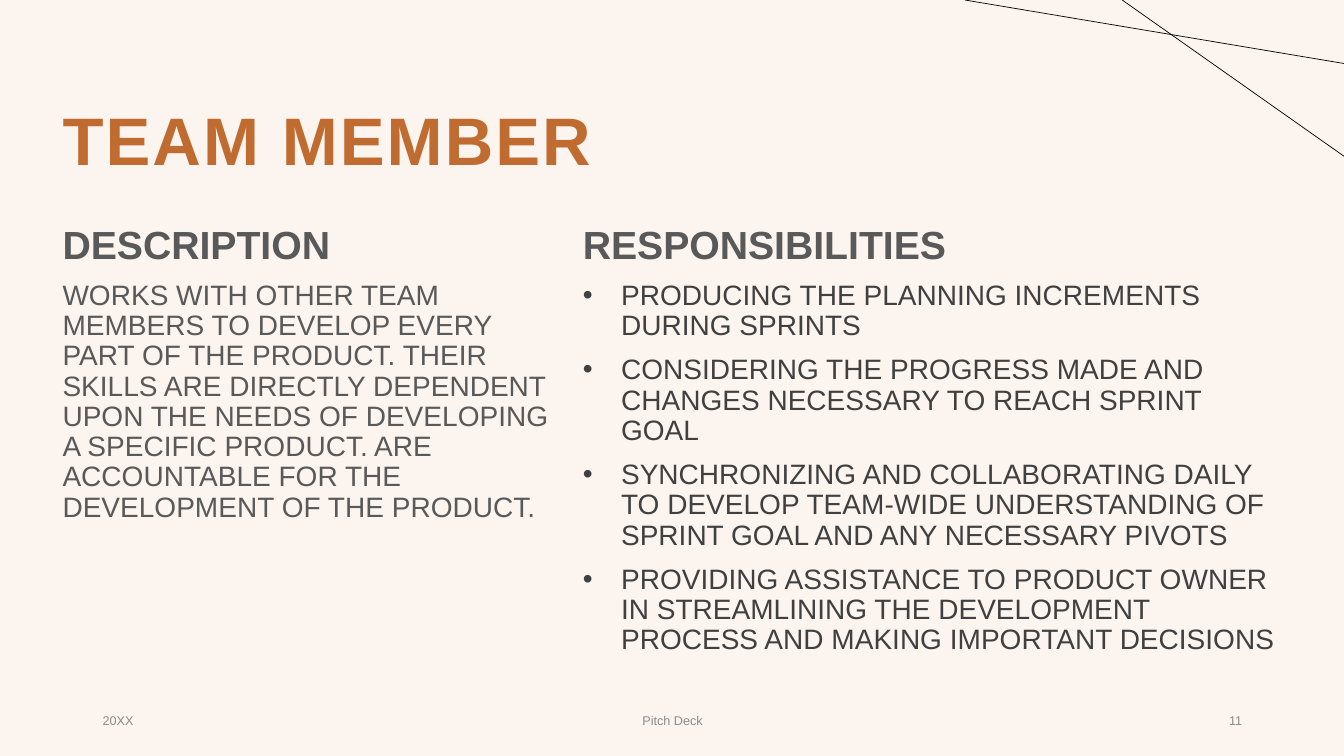
import pptx
import pptx.dml.color
import pptx.enum.shapes
import pptx.enum.text
import pptx.oxml.ns
import pptx.util
from lxml import etree

Inches = pptx.util.Inches
Pt = pptx.util.Pt
ALIGN = pptx.enum.text.PP_ALIGN
ANCHOR = pptx.enum.text.MSO_ANCHOR

FONT = "Arial"
BACKGROUND, ACCENT, LINE = "FBF4EF", "C06C30", "000000"
GREY, DARK_GREY, FOOTER_GREY = "595959", "404040", "8C8C8C"
INDENT = Inches(0.38)

DESCRIPTION = (
    "WORKS WITH OTHER TEAM MEMBERS TO DEVELOP EVERY PART OF THE PRODUCT. "
    "THEIR SKILLS ARE DIRECTLY DEPENDENT UPON THE NEEDS OF DEVELOPING A "
    "SPECIFIC PRODUCT. ARE ACCOUNTABLE FOR THE DEVELOPMENT OF THE PRODUCT."
)
RESPONSIBILITIES = [
    "PRODUCING THE PLANNING INCREMENTS DURING SPRINTS",
    "CONSIDERING THE PROGRESS MADE AND CHANGES NECESSARY TO REACH SPRINT GOAL",
    "SYNCHRONIZING AND COLLABORATING DAILY TO DEVELOP TEAM-WIDE "
    "UNDERSTANDING OF SPRINT GOAL AND ANY NECESSARY PIVOTS",
    "PROVIDING ASSISTANCE TO PRODUCT OWNER IN STREAMLINING THE DEVELOPMENT "
    "PROCESS AND MAKING IMPORTANT DECISIONS",
]


def rgb(color):
    return pptx.dml.color.RGBColor.from_string(color)


def place(sp, left, top, width, height):
    sp.left, sp.top = Inches(left), Inches(top)
    sp.width, sp.height = Inches(width), Inches(height)


def set_bullet(p, bulleted):
    pPr = p._p.get_or_add_pPr()
    pPr.set("marL", str(INDENT if bulleted else 0))
    pPr.set("indent", str(-INDENT if bulleted else 0))
    tag = "a:buChar" if bulleted else "a:buNone"
    bullet = etree.SubElement(pPr, pptx.oxml.ns.qn(tag))
    if bulleted:
        bullet.set("char", "•")


def write(sp, texts, size, color, bold=False, align=ALIGN.LEFT,
          anchor=ANCHOR.TOP, line_spacing=0.9, bulleted=False, tracking=0):
    tf = sp.text_frame
    tf.word_wrap = True
    tf.auto_size = pptx.enum.text.MSO_AUTO_SIZE.NONE
    tf.vertical_anchor = anchor
    for i, text in enumerate(texts):
        p = tf.add_paragraph() if i else tf.paragraphs[0]
        set_bullet(p, bulleted)
        p.alignment = align
        p.line_spacing = line_spacing
        p.space_before = Pt(10 if i else 0)
        r = p.add_run()
        r.text = text
        r.font.name, r.font.size, r.font.bold = FONT, Pt(size), bold
        r.font.color.rgb = rgb(color)
        if tracking:
            r.font._element.set("spc", str(int(tracking * 100)))


def add_footer(s, left, top, width, height):
    """Date, deck name and page number, spread over the box."""
    side, middle = 3, 4.5
    parts = [
        ("20XX", 0, side, ALIGN.LEFT),
        ("Pitch Deck", (width - middle) / 2, middle, ALIGN.CENTER),
        ("11", width - side, side, ALIGN.RIGHT),
    ]
    for text, offset, w, align in parts:
        sp = s.shapes.add_textbox(Inches(left + offset), Inches(top),
                                  Inches(w), Inches(height))
        write(sp, [text], 9, FOOTER_GREY, align=align,
              anchor=ANCHOR.MIDDLE, line_spacing=1)


def add_corner_lines(s, right, top):
    """Two thin lines crossing in the top right corner."""
    for run, drop in [(2.2, 1.55), (3.76, 0.63)]:
        line = s.shapes.add_connector(
            pptx.enum.shapes.MSO_CONNECTOR.STRAIGHT,
            Inches(right - run), Inches(top), Inches(right), Inches(top + drop))
        line.line.color.rgb = rgb(LINE)
        line.line.width = Pt(0.5)
        etree.SubElement(line._element.spPr, pptx.oxml.ns.qn("a:effectLst"))


def add_title(s, left, top, width, height):
    sp = s.shapes.title
    place(sp, left, top, width, height)
    write(sp, ["TEAM MEMBER"], 48, ACCENT, bold=True,
          anchor=ANCHOR.MIDDLE, tracking=1.5)


def add_column(heading_sp, body_sp, heading, texts, color, bulleted,
               left, top, width, height):
    """A heading with its body text below."""
    body_offset = 0.55
    place(heading_sp, left, top, width, 0.4)
    write(heading_sp, [heading], 28, GREY, bold=True)
    place(body_sp, left, top + body_offset, width, height - body_offset)
    write(body_sp, texts, 20, color, bulleted=bulleted)


def build_role_slide(prs):
    s = prs.slides.add_slide(prs.slide_layouts.get_by_name("Comparison"))
    s.background.fill.solid()
    s.background.fill.fore_color.rgb = rgb(BACKGROUND)
    ph = {sp.placeholder_format.idx: sp for sp in s.placeholders}

    add_footer(s, 0.92, 6.95, 11.5, 0.4)
    add_corner_lines(s, 13.33, 0)
    add_title(s, 0.52, 0.96, 5.94, 0.93)
    add_column(ph[1], ph[2], "DESCRIPTION", [DESCRIPTION], GREY, False,
               0.52, 2.19, 5.16, 3.05)
    add_column(ph[3], ph[4], "RESPONSIBILITIES", RESPONSIBILITIES, DARK_GREY,
               True, 5.68, 2.19, 7.12, 4.41)


def main():
    prs = pptx.Presentation()
    prs.slide_width, prs.slide_height = Inches(13.33), Inches(7.5)
    build_role_slide(prs)
    prs.save("out.pptx")


if __name__ == "__main__":
    main()
